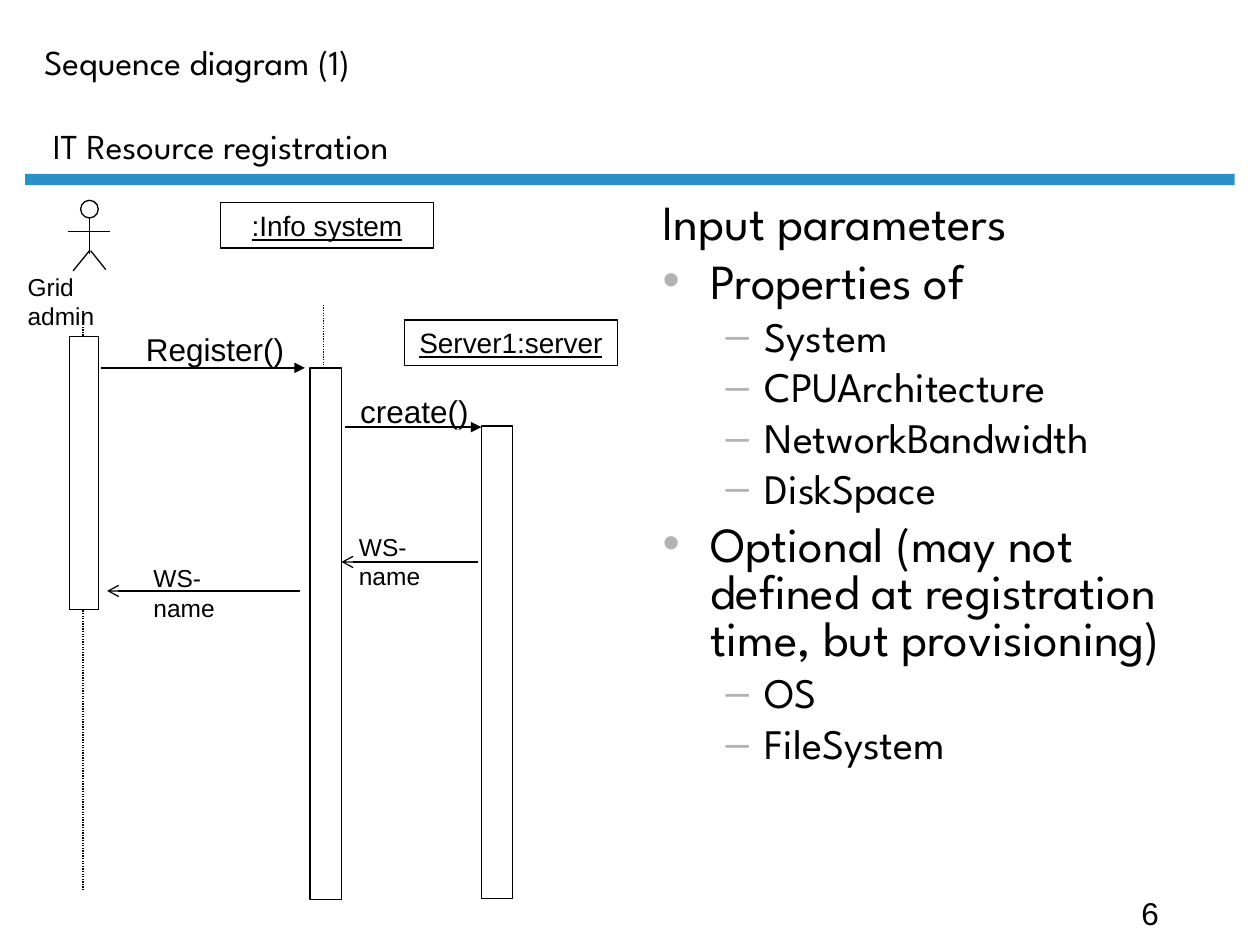
from dataclasses import dataclass

from lxml.etree import SubElement
from pptx import Presentation
from pptx.dml.color import RGBColor
from pptx.enum.dml import MSO_LINE
from pptx.enum.shapes import MSO_CONNECTOR, MSO_SHAPE
from pptx.enum.text import MSO_ANCHOR, MSO_AUTO_SIZE, PP_ALIGN
from pptx.oxml.ns import qn
from pptx.util import Inches, Pt


@dataclass(frozen=True)
class Theme:
    ink: RGBColor = RGBColor(0x00, 0x00, 0x00)
    paper: RGBColor = RGBColor(0xFF, 0xFF, 0xFF)
    rule: RGBColor = RGBColor(0x29, 0x90, 0xCA)
    bullet: str = "B2B3B5"
    heading_font: str = "League Spartan"
    diagram_font: str = "Arial"
    title_size: int = 20
    list_sizes: tuple = (28, 24)
    message_size: int = 18
    object_size: int = 16
    note_size: int = 14
    line_width: float = 0.75


THEME = Theme()

# Level, bullet, text
PARAMETERS = [
    (0, None, "Input parameters"),
    (0, "•", "Properties of"),
    (1, "–", "System"),
    (1, "–", "CPUArchitecture"),
    (1, "–", "NetworkBandwidth"),
    (1, "–", "DiskSpace"),
    (0, "•", "Optional (may not defined at registration time, but provisioning)"),
    (1, "–", "OS"),
    (1, "–", "FileSystem"),
]
# Left margin, hanging indent and space before for each list level
LIST_LEVELS = [(0.38, 0.38, 7), (0.81, 0.31, 6)]


def place(shape, left, top, width, height):
    shape.left, shape.top = Inches(left), Inches(top)
    shape.width, shape.height = Inches(width), Inches(height)


def style_text(paragraph, size, font_name=THEME.diagram_font):
    font = paragraph.font
    font.name, font.size = font_name, Pt(size)
    font.color.rgb = THEME.ink


def set_bullet(paragraph, character, margin, hanging):
    properties = paragraph._p.get_or_add_pPr()
    properties.set("marL", str(Inches(margin)))
    properties.set("indent", str(-Inches(hanging)))
    if character is None:
        SubElement(properties, qn("a:buNone"))
        return
    color = SubElement(properties, qn("a:buClr"))
    SubElement(color, qn("a:srgbClr"), val=THEME.bullet)
    SubElement(properties, qn("a:buChar"), char=character)


def fill_title(title):
    place(title, 0.25, 0.12, 8.56, 1.25)
    frame = title.text_frame
    frame.text = "Sequence diagram (1)\nIT Resource registration"
    frame.vertical_anchor = MSO_ANCHOR.BOTTOM
    frame.auto_size = MSO_AUTO_SIZE.NONE
    for paragraph, margin, gap in zip(frame.paragraphs, (0, 0.07), (0, 24)):
        set_bullet(paragraph, None, margin, 0)
        paragraph.alignment = PP_ALIGN.LEFT
        paragraph.space_before = Pt(gap)
        style_text(paragraph, THEME.title_size, THEME.heading_font)


def fill_parameters(body):
    place(body, 5.16, 1.56, 4.43, 5.42)
    frame = body.text_frame
    frame.text = "\n".join(text for _, _, text in PARAMETERS)
    frame.auto_size = MSO_AUTO_SIZE.NONE
    for index, (level, character, _) in enumerate(PARAMETERS):
        paragraph = frame.paragraphs[index]
        margin, hanging, gap = LIST_LEVELS[level]
        paragraph.level = level
        set_bullet(paragraph, character, margin, hanging)
        paragraph.line_spacing = 0.8
        paragraph.space_before = Pt(gap if index else 0)
        style_text(paragraph, THEME.list_sizes[level], THEME.heading_font)


def add_box(shapes, left, top, width, height, kind=MSO_SHAPE.RECTANGLE):
    box = shapes.add_shape(kind, Inches(left), Inches(top), Inches(width), Inches(height))
    box.shadow.inherit = False
    box.fill.solid()
    box.fill.fore_color.rgb = THEME.paper
    box.line.color.rgb = THEME.ink
    box.line.width = Pt(THEME.line_width)
    return box


def add_title_rule(shapes):
    rule = add_box(shapes, 0.2, 1.38, 9.6, 0.09)
    rule.fill.fore_color.rgb = THEME.rule
    rule.line.fill.background()


def add_object(shapes, name, left, top):
    frame = add_box(shapes, left, top, 1.69, 0.36).text_frame
    frame.text = name
    frame.word_wrap = False
    frame.vertical_anchor = MSO_ANCHOR.MIDDLE
    paragraph = frame.paragraphs[0]
    paragraph.alignment = PP_ALIGN.CENTER
    style_text(paragraph, THEME.object_size)
    paragraph.font.underline = True


def add_label(shapes, text, left, top, width, size):
    height = 0.4 if size == THEME.message_size else 0.34
    label = shapes.add_textbox(Inches(left), Inches(top), Inches(width), Inches(height))
    frame = label.text_frame
    frame.text = text
    frame.word_wrap = False
    frame.auto_size = MSO_AUTO_SIZE.SHAPE_TO_FIT_TEXT
    style_text(frame.paragraphs[0], size)


def add_line(shapes, start, end):
    points = [Inches(value) for value in (*start, *end)]
    line = shapes.add_connector(MSO_CONNECTOR.STRAIGHT, *points)
    line.line.color.rgb = THEME.ink
    line.line.width = Pt(THEME.line_width)
    SubElement(line._element.spPr, qn("a:effectLst"))
    return line


def add_lifeline(shapes, x, top):
    add_line(shapes, (x, top), (x, top + 4.59)).line.dash_style = MSO_LINE.ROUND_DOT


def add_message(shapes, left, right, y, is_reply=False):
    """Calls point right with a filled head, replies point left with an open one."""
    line = add_line(shapes, (left, y), (right, y)).line
    tag, head = ("a:headEnd", "arrow") if is_reply else ("a:tailEnd", "triangle")
    SubElement(line._get_or_add_ln(), qn(tag), type=head)


def add_actor(shapes):
    figure = shapes.add_group_shape().shapes
    add_box(figure, 0.64, 1.59, 0.14, 0.14, MSO_SHAPE.OVAL)
    for start, end in [
        ((0.54, 1.84), (0.87, 1.84)),
        ((0.71, 2.02), (0.71, 1.73)),
        ((0.58, 2.15), (0.71, 1.99)),
        ((0.84, 2.14), (0.72, 1.99)),
    ]:
        add_line(figure, start, end)
    add_label(shapes, "Grid admin", 0.12, 2.11, 1.15, THEME.note_size)


def add_sequence_diagram(shapes):
    add_actor(shapes)
    add_object(shapes, ":Info system", 1.75, 1.61)
    add_lifeline(shapes, 0.66, 2.47)
    add_lifeline(shapes, 2.57, 2.42)
    add_box(shapes, 0.55, 2.67, 0.23, 2.17)
    add_message(shapes, 0.8, 2.42, 2.92)
    add_box(shapes, 2.46, 2.92, 0.25, 4.22)
    add_message(shapes, 2.74, 3.82, 3.39)
    add_box(shapes, 3.82, 3.38, 0.25, 3.75)
    add_object(shapes, "Server1:server", 3.21, 2.54)
    add_label(shapes, "Register()", 1.06, 2.57, 1.3, THEME.message_size)
    add_label(shapes, "create()", 2.76, 3.06, 1.06, THEME.message_size)
    add_message(shapes, 2.71, 3.79, 4.46, is_reply=True)
    add_message(shapes, 0.85, 2.38, 4.69, is_reply=True)
    for left, top in [(2.75, 4.17), (1.12, 4.42)]:
        add_label(shapes, "WS-name", left, top, 1.06, THEME.note_size)


def main():
    presentation = Presentation()
    presentation.slide_width, presentation.slide_height = Inches(10), Inches(7.5)
    slide = presentation.slides.add_slide(presentation.slide_layouts[1])
    add_title_rule(slide.shapes)
    add_label(slide.shapes, "6", 8.96, 7.05, 1.34, THEME.message_size)
    fill_title(slide.shapes.title)
    fill_parameters(slide.placeholders[1])
    add_sequence_diagram(slide.shapes)
    presentation.save("out.pptx")


if __name__ == "__main__":
    main()
